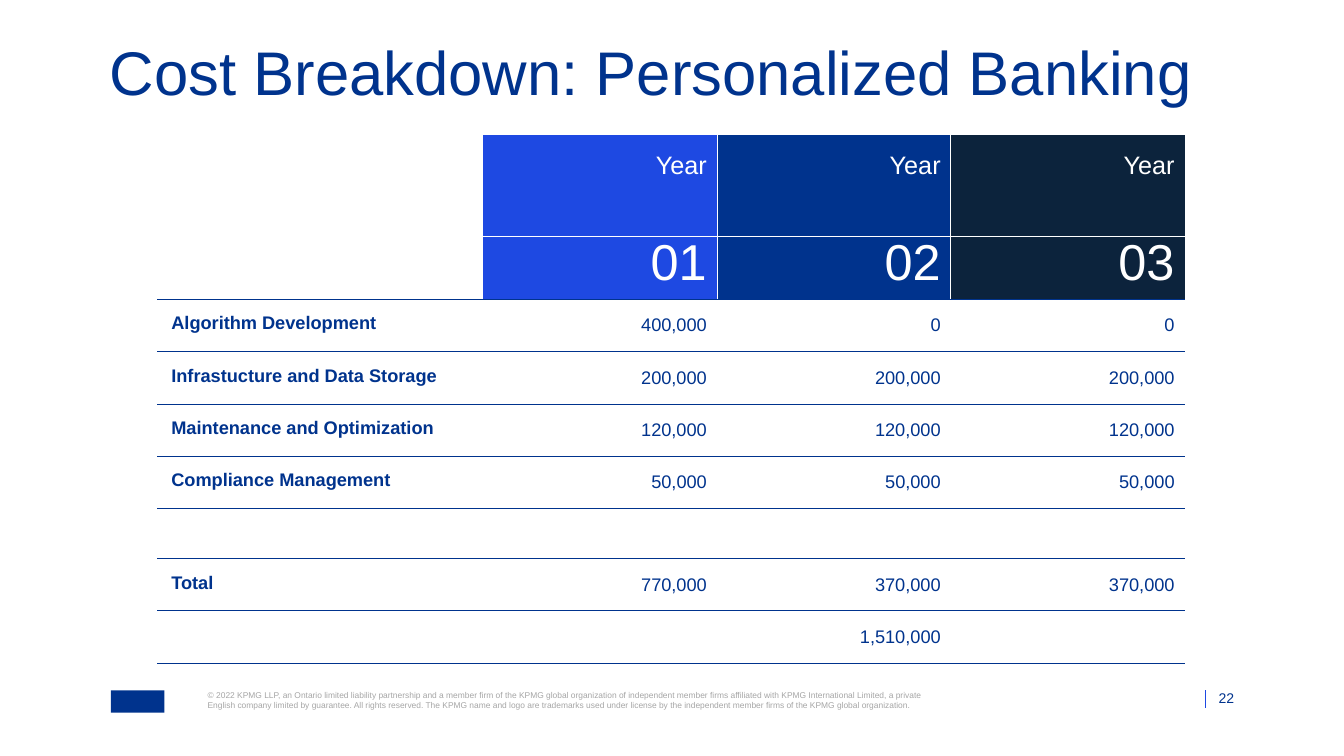
from dataclasses import dataclass

from lxml.etree import SubElement
from pptx import Presentation
from pptx.dml.color import RGBColor
from pptx.enum.shapes import MSO_CONNECTOR as Connector, MSO_SHAPE as Preset
from pptx.enum.text import MSO_ANCHOR as Anchor, PP_ALIGN as Align
from pptx.oxml.ns import qn
from pptx.slide import Slide
from pptx.table import Table, _Cell as Cell
from pptx.text.text import TextFrame
from pptx.util import Inches, Pt


@dataclass(frozen=True)
class Theme:
    """Colours, type sizes and line weight of the slide."""
    font: str = "Arial"
    navy: str = "00338D"
    blue: str = "1E49E2"
    dark: str = "0C233C"
    white: str = "FFFFFF"
    grey: str = "A6A6A6"
    title_size: float = 44
    number_size: float = 36
    year_size: float = 18
    body_size: float = 13
    page_size: float = 10
    legal_size: float = 6
    line_width: float = 0.5


@dataclass(frozen=True)
class TextStyle:
    """Look of one single-paragraph text."""
    size: float
    color: str
    bold: bool = False
    align: Align = Align.LEFT
    spacing: float = 1.0
    anchor: Anchor = Anchor.TOP


@dataclass(frozen=True)
class TextItem:
    """A text box with its place in inches."""
    text: str
    box: tuple[float, float, float, float]
    style: TextStyle


@dataclass(frozen=True)
class Year:
    """A year column's number and header colour."""
    number: str
    color: str


@dataclass(frozen=True)
class CostRow:
    """A body row of the cost table."""
    label: str
    values: tuple[str, str, str]
    height: float = 0.5


THEME = Theme()
NO_TABLE_STYLE = "{2D5ABB26-0587-4C30-8999-92F81FD0307C}"
YEAR_STYLE = TextStyle(THEME.year_size, THEME.white, align=Align.RIGHT, spacing=1.1)
NUMBER_STYLE = TextStyle(THEME.number_size, THEME.white, align=Align.RIGHT, spacing=0.85)
LABEL_STYLE = TextStyle(THEME.body_size, THEME.navy, bold=True)
VALUE_STYLE = TextStyle(THEME.body_size, THEME.navy, align=Align.RIGHT, spacing=1.1)

TEXTS = (
    TextItem("Cost Breakdown: Personalized Banking", (1.09, 0.47, 11.16, 0.58),
             TextStyle(THEME.title_size, THEME.navy, spacing=0.7, anchor=Anchor.BOTTOM)),
    TextItem("© 2022 KPMG LLP, an Ontario limited liability partnership and a member firm of the "
             "KPMG global organization of independent member firms affiliated with KPMG "
             "International Limited, a private English company limited by guarantee. All rights "
             "reserved. The KPMG name and logo are trademarks used under license by the "
             "independent member firms of the KPMG global organization.",
             (2.06, 6.85, 7.17, 0.2), TextStyle(THEME.legal_size, THEME.grey)),
    TextItem("22", (11.97, 6.85, 0.27, 0.16),
             TextStyle(THEME.page_size, THEME.navy, align=Align.RIGHT, anchor=Anchor.BOTTOM)),
)
YEARS = (Year("01", THEME.blue), Year("02", THEME.navy), Year("03", THEME.dark))
COSTS = (
    CostRow("Algorithm Development", ("400,000", "0", "0")),
    CostRow("Infrastucture and Data Storage", ("200,000",) * 3),
    CostRow("Maintenance and Optimization", ("120,000",) * 3, 0.51),
    CostRow("Compliance Management", ("50,000",) * 3),
    CostRow("", ("",) * 3, 0.47),
    CostRow("Total", ("770,000", "370,000", "370,000")),
    CostRow("", ("", "1,510,000", "")),
)
HEADER_HEIGHTS = (1.0, 0.6)
COLUMN_WIDTHS = (3.23, 2.32, 2.32, 2.32)


def write_text(frame: TextFrame, text: str, style: TextStyle) -> None:
    """Fill a frame with one styled paragraph."""
    frame.text = text
    paragraph = frame.paragraphs[0]
    paragraph.alignment = style.align
    paragraph.line_spacing = style.spacing
    font = paragraph.runs[0].font if paragraph.runs else paragraph.font
    font.name, font.size, font.bold = THEME.font, Pt(style.size), style.bold
    font.color.rgb = RGBColor.from_string(style.color)


def add_text(slide: Slide, item: TextItem) -> None:
    """Add a text box without insets."""
    frame = slide.shapes.add_textbox(*map(Inches, item.box)).text_frame
    frame.word_wrap = True
    frame.margin_left = frame.margin_top = frame.margin_right = frame.margin_bottom = 0
    frame.vertical_anchor = item.style.anchor
    write_text(frame, item.text, item.style)


def set_borders(cell: Cell, borders: dict[str, str]) -> None:
    """Draw the given sides (L, R, T, B) in their colours."""
    properties = cell._tc.get_or_add_tcPr()
    lines = []
    for side in (side for side in "LRTB" if side in borders):
        line = SubElement(properties, qn(f"a:ln{side}"), w=str(Pt(THEME.line_width)))
        fill = SubElement(line, qn("a:solidFill"))
        SubElement(fill, qn("a:srgbClr"), val=borders[side])
        lines.append(line)
    for index, line in enumerate(lines):
        properties.insert(index, line)


def fill_cell(cell: Cell, text: str, style: TextStyle, side_inset: float, edge_inset: float,
              borders: dict[str, str], color: str = "") -> None:
    """Set a cell's text, insets, fill and borders."""
    cell.margin_left = cell.margin_right = Inches(side_inset)
    cell.margin_top = cell.margin_bottom = Inches(edge_inset)
    write_text(cell.text_frame, text, style)
    if color:
        cell.fill.solid()
        cell.fill.fore_color.rgb = RGBColor.from_string(color)
    else:
        cell.fill.background()
    set_borders(cell, borders)


def fill_header(table: Table) -> None:
    """Fill the two header rows."""
    for row, bottom in enumerate(({}, {"B": THEME.navy})):
        fill_cell(table.cell(row, 0), "", LABEL_STYLE, 0.1, 0.05, bottom)
    for column, year in enumerate(YEARS, start=1):
        sides = {"L": THEME.white} if column > 1 else {}
        if column < len(YEARS):
            sides["R"] = THEME.white
        fill_cell(table.cell(0, column), "Year", YEAR_STYLE, 0.1, 0.14,
                  sides | {"B": THEME.white}, year.color)
        fill_cell(table.cell(1, column), year.number, NUMBER_STYLE, 0.1, 0.06,
                  sides | {"T": THEME.white, "B": THEME.navy}, year.color)


def add_cost_table(slide: Slide) -> None:
    """Add the cost table."""
    heights = (*HEADER_HEIGHTS, *(cost.height for cost in COSTS))
    place = map(Inches, (1.56, 1.34, sum(COLUMN_WIDTHS), sum(heights)))
    table = slide.shapes.add_table(len(heights), len(COLUMN_WIDTHS), *place).table
    table.first_row = table.horz_banding = False
    table._tbl.tblPr.find(qn("a:tableStyleId")).text = NO_TABLE_STYLE
    for column, width in zip(table.columns, COLUMN_WIDTHS):
        column.width = Inches(width)
    for row, height in zip(table.rows, heights):
        row.height = Inches(height)
    fill_header(table)
    rules = {"T": THEME.navy, "B": THEME.navy}
    for row, cost in enumerate(COSTS, start=len(HEADER_HEIGHTS)):
        fill_cell(table.cell(row, 0), cost.label, LABEL_STYLE, 0.14, 0.14, rules)
        for column, value in enumerate(cost.values, start=1):
            fill_cell(table.cell(row, column), value, VALUE_STYLE, 0.1, 0.14, rules)


def add_footer_marks(slide: Slide) -> None:
    """Add the plain emblem block and the page number rule."""
    emblem = slide.shapes.add_shape(Preset.RECTANGLE, *map(Inches, (1.1, 6.85, 0.53, 0.22)))
    emblem.shadow.inherit = False
    emblem.fill.solid()
    emblem.fill.fore_color.rgb = RGBColor.from_string(THEME.navy)
    emblem.line.fill.background()
    rule = slide.shapes.add_connector(Connector.STRAIGHT, *map(Inches, (11.95, 6.85, 11.95, 7.02)))
    rule.line.color.rgb = RGBColor.from_string(THEME.blue)
    rule.line.width = Pt(THEME.line_width)
    SubElement(rule._element.spPr, qn("a:effectLst"))


def main() -> None:
    """Build and save the slide."""
    presentation = Presentation()
    presentation.slide_width, presentation.slide_height = Inches(13.33), Inches(7.5)
    slide = presentation.slides.add_slide(presentation.slide_layouts[6])
    add_footer_marks(slide)
    for item in TEXTS:
        add_text(slide, item)
    add_cost_table(slide)
    presentation.save("out.pptx")


if __name__ == "__main__":
    main()
